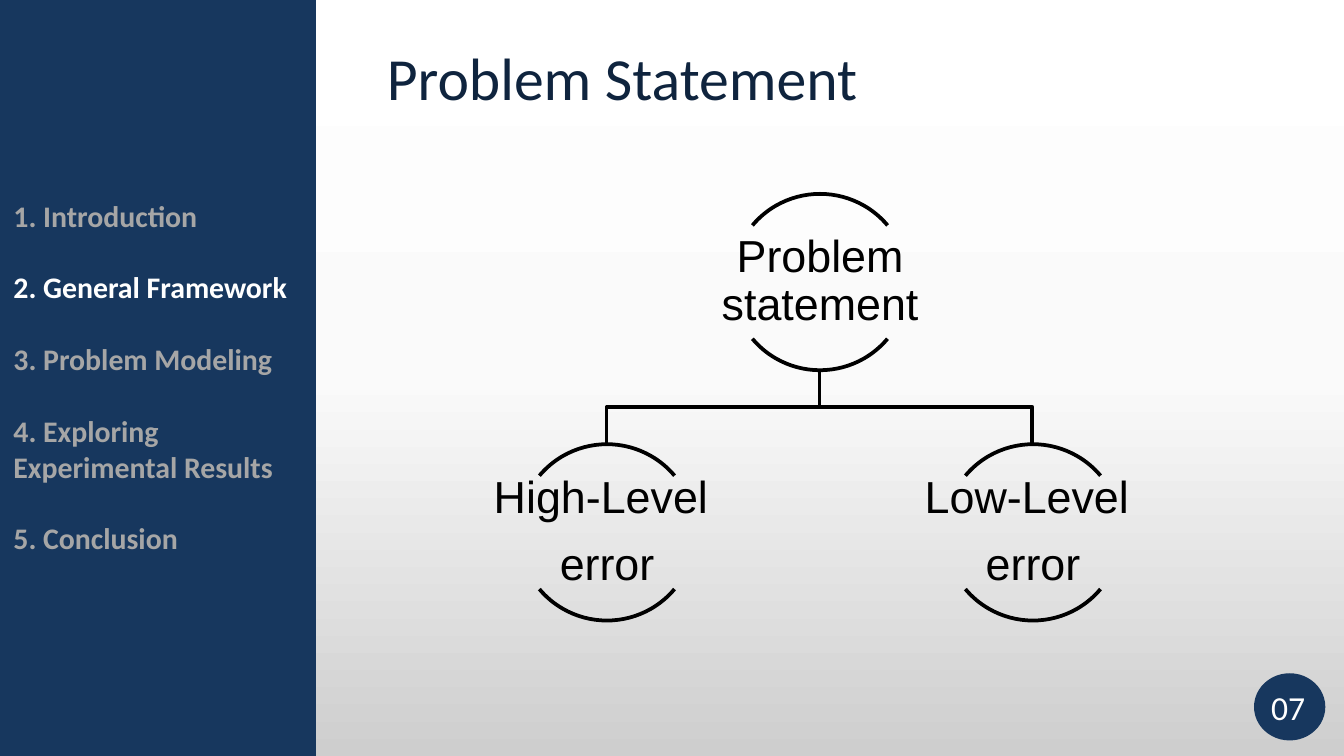
from copy import deepcopy
from dataclasses import dataclass

from pptx import Presentation
from pptx.dml.color import RGBColor
from pptx.enum import shapes as sh, text as tx
from pptx.oxml import ns
from pptx.util import Pt

NAVY = RGBColor(0x17, 0x37, 0x5E)
INK = RGBColor(0x0F, 0x24, 0x3E)
GREY = RGBColor(0xA6, 0xA6, 0xA6)
WHITE = RGBColor(255, 255, 255)
BLACK = RGBColor(0, 0, 0)
SKY = [(0, WHITE), (0.5, RGBColor(0xFA, 0xFA, 0xFA)), (1, RGBColor(0xCE, 0xCE, 0xCE))]

WIDE, HIGH = 720, 405
RING = 94.5             # diameter of a node's arcs
LABEL = (188.6, 60.5)   # size of a node's text box
ARCS = [(132, 192), (24, 84)]


@dataclass
class Node:
    x: float    # centre
    top: float
    lines: list[str]


ROOT = Node(439.3, 103.9, ["Problem statement"])
KIDS = [Node(325.2, 238, ["High-Level ", "error"]),
        Node(553.4, 238, ["Low-Level ", "error"])]
MENU = ["1. Introduction", "2. General Framework", "3. Problem Modeling",
        "4. Exploring Experimental Results", "5. Conclusion"]
ACTIVE = 1


def place(shape, x: float, y: float, w: float, h: float) -> None:
    shape.left, shape.top, shape.width, shape.height = Pt(x), Pt(y), Pt(w), Pt(h)


def write(shape, lines: list[str], size: float, color: RGBColor, font="Calibri",
          bold=False, align=tx.PP_ALIGN.LEFT, anchor=tx.MSO_ANCHOR.TOP,
          inset=(7.2, 3.6), wrap=True, pitch=1.0, before=0.0, after=0.0) -> None:
    frame = shape.text_frame
    frame.auto_size = tx.MSO_AUTO_SIZE.NONE
    frame.word_wrap = wrap
    frame.vertical_anchor = anchor
    frame.margin_left = frame.margin_right = Pt(inset[0])
    frame.margin_top = frame.margin_bottom = Pt(inset[1])
    frame.text = "\n".join(lines)
    for i, para in enumerate(frame.paragraphs):
        para.alignment = align
        para.line_spacing = pitch
        para.space_before = Pt(before if i else 0)
        para.space_after = Pt(after)
        face = para.runs[0].font
        face.name, face.size, face.bold = font, Pt(size), bold
        face.color.rgb = color


def add_box(slide, x: float, y: float, w: float, h: float, lines: list[str], **style):
    box = slide.shapes.add_textbox(Pt(x), Pt(y), Pt(w), Pt(h))
    write(box, lines, **style)
    return box


def add_fill(slide, kind, x: float, y: float, w: float, h: float):
    shape = slide.shapes.add_shape(kind, Pt(x), Pt(y), Pt(w), Pt(h))
    shape.shadow.inherit = False
    shape.fill.solid()
    shape.fill.fore_color.rgb = NAVY
    shape.line.fill.background()
    return shape


def stroke(shape) -> None:
    shape.shadow.inherit = False
    shape.fill.background()
    shape.line.color.rgb = BLACK
    shape.line.width = Pt(2)


def add_link(slide, top: Node, low: Node) -> None:
    start = top.top + RING
    mid = (start + low.top) / 2
    path = slide.shapes.build_freeform(top.x, start, scale=Pt(1))
    path.add_line_segments([(top.x, mid), (low.x, mid), (low.x, low.top)], close=False)
    stroke(path.convert_to_shape())


def add_node(slide, node: Node) -> None:
    for first, last in ARCS:
        arc = slide.shapes.add_shape(sh.MSO_SHAPE.ARC, Pt(node.x - RING / 2),
                                     Pt(node.top), Pt(RING), Pt(RING))
        arc.adjustments[0], arc.adjustments[1] = first, last
        stroke(arc)
    w, h = LABEL
    add_box(slide, node.x - w / 2, node.top + (RING - h) / 2, w, h, node.lines,
            size=24, color=BLACK, font="Arial", align=tx.PP_ALIGN.CENTER,
            anchor=tx.MSO_ANCHOR.MIDDLE, inset=(1.2, 1.2), pitch=0.9, after=9.5)


def set_sky(slide) -> None:
    fill = slide.background.fill
    fill.gradient()
    fill.gradient_angle = 270
    stops = slide._element.find(".//" + ns.qn("a:gsLst"))
    stops.append(deepcopy(stops[0]))
    for stop, (pos, color) in zip(fill.gradient_stops, SKY):
        stop.position = pos
        stop.color.rgb = color


def add_menu(slide, body) -> None:
    panel = add_fill(slide, sh.MSO_SHAPE.RECTANGLE, 0, 0, 169.2, HIGH)
    body._element.addprevious(panel._element)   # panel goes behind the list
    place(body, 0, 102.2, 180, 201)
    write(body, MENU, size=16, color=GREY, bold=True, before=19.2)
    for para in body.text_frame.paragraphs:
        props = para._p.get_or_add_pPr()
        props.set("marL", "0")
        props.set("indent", "0")
        props.append(props.makeelement(ns.qn("a:buNone"), {}))
    body.text_frame.paragraphs[ACTIVE].runs[0].font.color.rgb = WHITE


def main() -> None:
    deck = Presentation()
    deck.slide_width, deck.slide_height = Pt(WIDE), Pt(HIGH)
    slide = deck.slides.add_slide(deck.slide_layouts[1])
    title, body = slide.placeholders
    set_sky(slide)

    # Title and side menu
    place(title, 200, 18, 271.4, 46)
    write(title, ["Problem Statement"], size=32, color=INK, wrap=False)
    add_menu(slide, body)

    # Tree
    for kid in KIDS:
        add_link(slide, ROOT, kid)
    for node in [ROOT, *KIDS]:
        add_node(slide, node)

    # Page number
    add_fill(slide, sh.MSO_SHAPE.OVAL, 671.8, 360.7, 38.2, 36)
    add_box(slide, 542.2, 368, 162, 21.6, ["07"], size=18, color=WHITE,
            align=tx.PP_ALIGN.RIGHT, anchor=tx.MSO_ANCHOR.MIDDLE, inset=(5, 2.9))

    deck.save("out.pptx")


if __name__ == "__main__":
    main()
